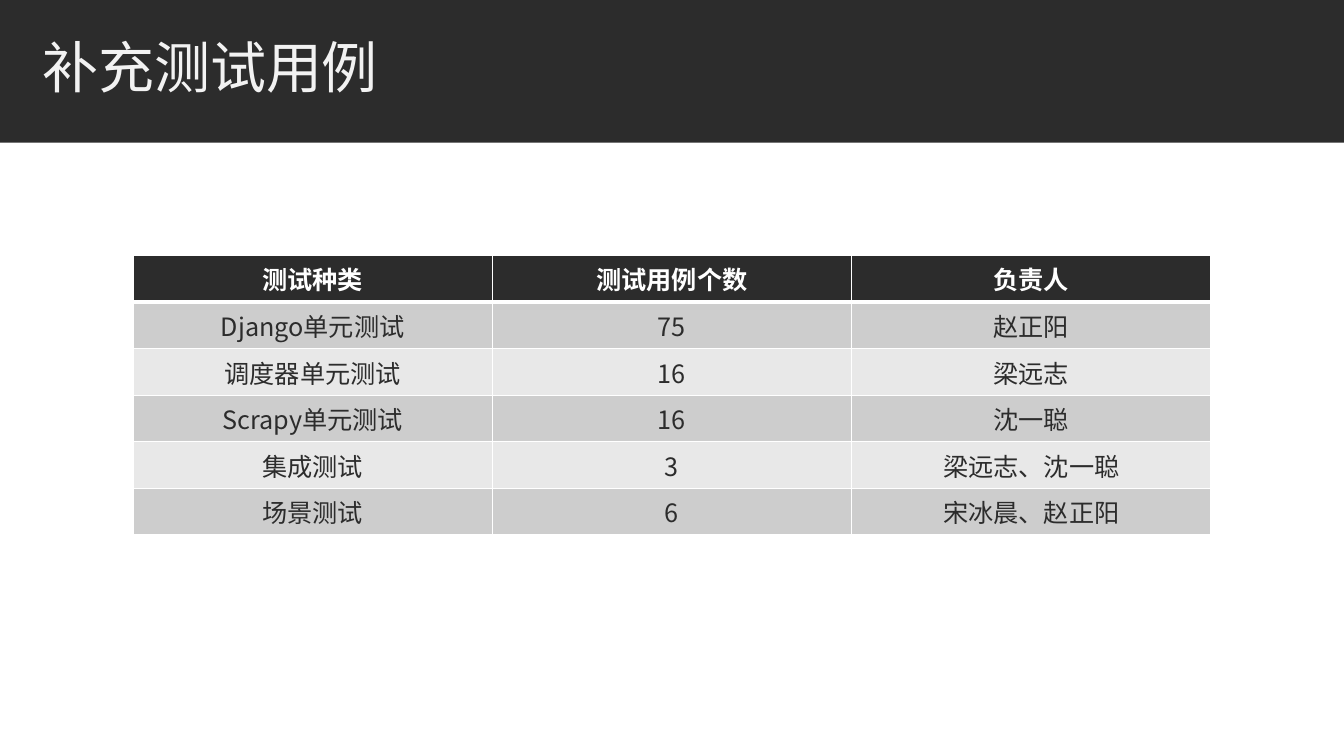
"""Build a slide with a title band and a table of added test cases."""
from dataclasses import dataclass

from lxml import etree
from pptx import Presentation
from pptx.dml.color import RGBColor
from pptx.enum.shapes import MSO_SHAPE
from pptx.enum.text import MSO_ANCHOR, MSO_AUTO_SIZE, PP_ALIGN
from pptx.oxml.ns import qn
from pptx.util import Pt

RECTANGLE = MSO_SHAPE.RECTANGLE
MIDDLE = MSO_ANCHOR.MIDDLE
NO_AUTOFIT = MSO_AUTO_SIZE.NONE
LEFT, CENTER = PP_ALIGN.LEFT, PP_ALIGN.CENTER
TITLE_ONLY = 5
SLIDE_WIDTH, SLIDE_HEIGHT = 960, 540

TEST_ROWS = [
    ("测试种类", "测试用例个数", "负责人"),
    ("Django单元测试", "75", "赵正阳"),
    ("调度器单元测试", "16", "梁远志"),
    ("Scrapy单元测试", "16", "沈一聪"),
    ("集成测试", "3", "梁远志、沈一聪"),
    ("场景测试", "6", "宋冰晨、赵正阳"),
]


@dataclass(frozen=True)
class Theme:
    """Colours, font and type sizes of the slide."""
    font: str = "Noto Sans CJK SC"
    dark: str = "2C2C2C"
    white: str = "FFFFFF"
    title_color: str = "F2F2F2"
    bands: tuple = ("CDCDCD", "E8E8E8")
    title_size: int = 40
    table_size: int = 18
    thin_border: int = 1
    header_border: int = 3


class SlideBuilder:
    """Hold the theme and the current slide, and add elements to it."""

    def __init__(self, slide, theme):
        """Keep the slide and its theme."""
        self.slide = slide
        self.theme = theme

    def format_paragraph(self, paragraph, alignment, size, color, bold=False):
        """Align a paragraph and style its runs."""
        paragraph.alignment = alignment
        values = {"name": self.theme.font, "size": Pt(size), "bold": bold}
        for run in paragraph.runs:
            for name, value in values.items():
                setattr(run.font, name, value)
            run.font.color.rgb = RGBColor.from_string(color)
            properties = run._r.get_or_add_rPr()
            etree.SubElement(properties, qn("a:ea"), typeface=self.theme.font)

    def title(self, text, left, top, width, height):
        """Fill and place the title placeholder."""
        title = self.slide.shapes.title
        bounds = {"left": left, "top": top, "width": width, "height": height}
        for name, value in bounds.items():
            setattr(title, name, Pt(value))
        frame = title.text_frame
        frame.text = text
        settings = {"word_wrap": True, "vertical_anchor": MIDDLE, "auto_size": NO_AUTOFIT}
        for name, value in settings.items():
            setattr(frame, name, value)
        paragraph = frame.paragraphs[0]
        paragraph.line_spacing = 0.85
        self.format_paragraph(paragraph, LEFT, self.theme.title_size, self.theme.title_color)

    def title_band(self, height):
        """Put a full-width dark band behind the title."""
        shapes = self.slide.shapes
        band = shapes.add_shape(RECTANGLE, 0, 0, Pt(SLIDE_WIDTH), Pt(height))
        band.shadow.inherit = False
        band.fill.solid()
        band.fill.fore_color.rgb = RGBColor.from_string(self.theme.dark)
        band.line.fill.background()
        shapes.title._element.addprevious(band._element)

    def cell_borders(self, cell, top, bottom):
        """Draw the four white borders of a cell."""
        thin = self.theme.thin_border
        widths = {"lnL": thin, "lnR": thin, "lnT": top, "lnB": bottom}
        properties = cell._tc.get_or_add_tcPr()
        for index, (side, width) in enumerate(widths.items()):
            line = etree.Element(qn(f"a:{side}"), w=str(Pt(width)))
            fill = etree.SubElement(line, qn("a:solidFill"))
            etree.SubElement(fill, qn("a:srgbClr"), val=self.theme.white)
            properties.insert(index, line)

    def table(self, rows, left, top, width, row_height):
        """Add a banded table whose first row is the header."""
        theme = self.theme
        columns = len(rows[0])
        frame = self.slide.shapes.add_table(
            len(rows), columns, Pt(left), Pt(top), Pt(width), Pt(row_height * len(rows)))
        table = frame.table
        for column in table.columns:
            column.width = Pt(width / columns)
        for row_index, row in enumerate(rows):
            header = row_index == 0
            fill = theme.dark if header else theme.bands[(row_index - 1) % 2]
            color = theme.white if header else theme.dark
            top_border = theme.header_border if row_index == 1 else theme.thin_border
            bottom_border = theme.header_border if header else theme.thin_border
            for column_index, text in enumerate(row):
                cell = table.cell(row_index, column_index)
                cell.text = text
                cell.vertical_anchor = MIDDLE
                cell.fill.solid()
                cell.fill.fore_color.rgb = RGBColor.from_string(fill)
                self.cell_borders(cell, top_border, bottom_border)
                paragraph = cell.text_frame.paragraphs[0]
                self.format_paragraph(paragraph, CENTER, theme.table_size, color, header)


def main():
    """Build and save the presentation."""
    presentation = Presentation()
    presentation.slide_width = Pt(SLIDE_WIDTH)
    presentation.slide_height = Pt(SLIDE_HEIGHT)
    slide = presentation.slides.add_slide(presentation.slide_layouts[TITLE_ONLY])
    builder = SlideBuilder(slide, Theme())
    builder.title_band(height=102)
    builder.title("补充测试用例", left=23, top=18.7, width=770, height=65)
    builder.table(TEST_ROWS, left=95, top=182.5, width=770, row_height=29.2)
    presentation.save("out.pptx")


if __name__ == "__main__":
    main()
